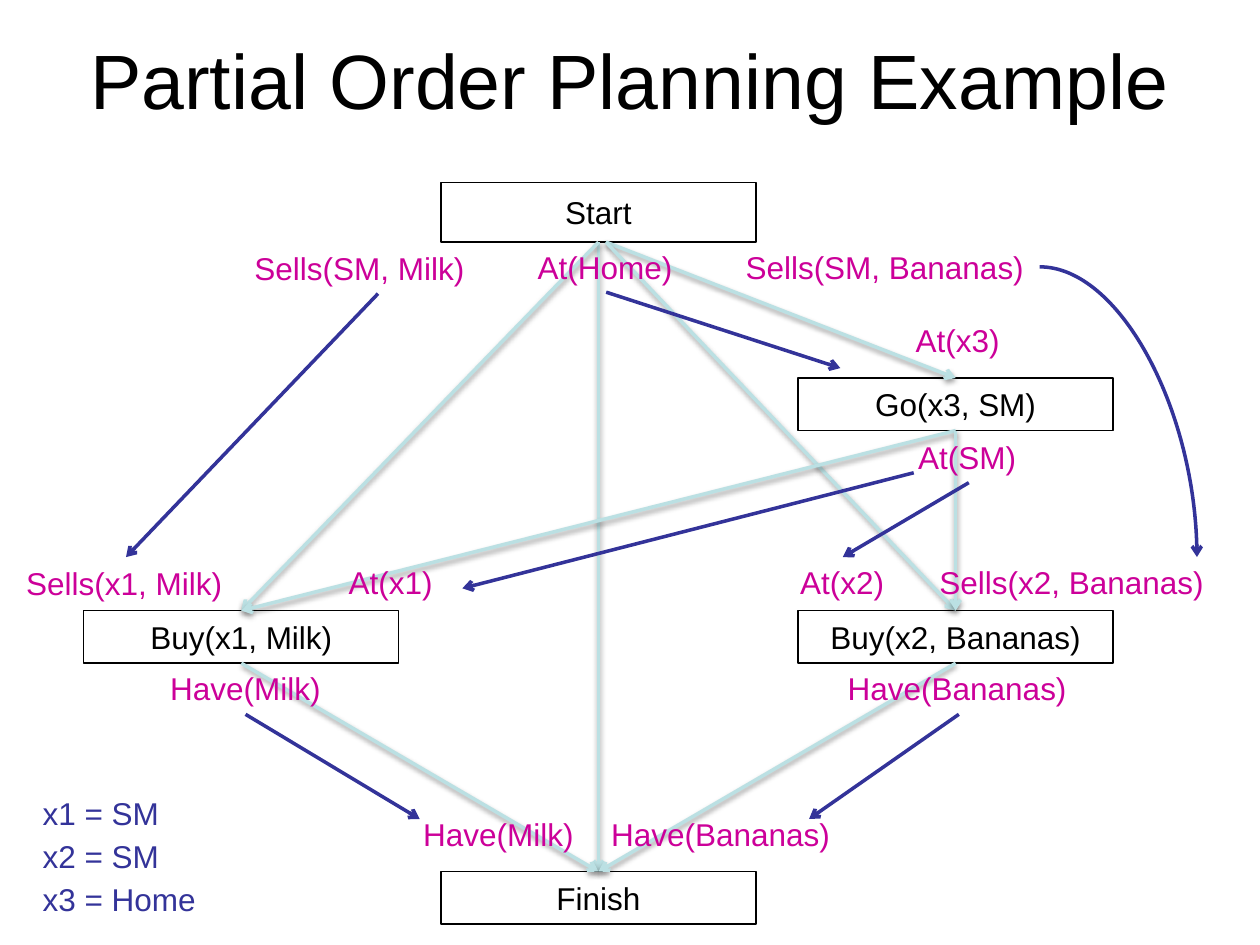
import dataclasses
import typing

import lxml.etree
import pptx
import pptx.dml.color
import pptx.enum.shapes
import pptx.enum.text
import pptx.oxml.ns
import pptx.util

Cm, Pt = pptx.util.Cm, pptx.util.Pt
qn = pptx.oxml.ns.qn
Align = pptx.enum.text.PP_ALIGN
Anchor = pptx.enum.text.MSO_ANCHOR
Fit = pptx.enum.text.MSO_AUTO_SIZE
Kind = pptx.enum.shapes.MSO_CONNECTOR


@dataclasses.dataclass(frozen=True)
class Theme:
    font: str = "Arial"
    head: float = 44
    body: float = 18
    edge: float = 0.75
    line: float = 2
    black: str = "000000"
    white: str = "FFFFFF"
    pink: str = "CC0099"
    navy: str = "333399"
    pale: str = "BBE0E3"


THEME = Theme()


# Parts of the plan, lengths in centimetres
@dataclasses.dataclass(frozen=True)
class Step:
    text: str
    left: float
    top: float
    high: float = 1.06
    wide: float = 6.35


@dataclasses.dataclass(frozen=True)
class Link:
    start: str
    end: str
    shift: float = 0  # distance of the start from the middle of the side


@dataclasses.dataclass(frozen=True)
class Label:
    text: str
    left: float
    top: float
    wide: float
    color: str = THEME.pink


class Arrow(typing.NamedTuple):
    x1: float
    y1: float
    x2: float
    y2: float
    curved: bool = False


LEFT, MID, RIGHT = 1.69, 8.89, 16.09
BUY_TOP = 12.31
STEPS = {
    "start": Step("Start", MID, 3.68, 1.2),
    "go": Step("Go(x3, SM)", RIGHT, 7.62),
    "milk": Step("Buy(x1, Milk)", LEFT, BUY_TOP),
    "fruit": Step("Buy(x2, Bananas)", RIGHT, BUY_TOP),
    "finish": Step("Finish", MID, 17.57),
}
LINKS = [
    Link("start", "finish"),
    Link("start", "milk"),
    Link("start", "go", 0.15),
    Link("start", "fruit", 0.15),
    Link("go", "milk"),
    Link("go", "fruit"),
    Link("milk", "finish"),
    Link("fruit", "finish"),
]
ARROWS = [
    Arrow(7.62, 5.92, 2.54, 11.23),
    Arrow(12.22, 5.89, 16.94, 7.42),
    Arrow(18.42, 9.53, 9.32, 11.86),
    Arrow(19.53, 9.73, 16.99, 11.23),
    Arrow(4.95, 14.4, 8.46, 16.51),
    Arrow(19.33, 14.4, 16.31, 16.51),
    Arrow(20.96, 5.38, 24.13, 11.23, True),
]
LABELS = [
    Label("Sells(SM, Milk)", 4.88, 4.9, 4.78),
    Label("At(Home)", 10.59, 4.88, 3.3),
    Label("Sells(SM, Bananas)", 14.78, 4.88, 6.17),
    Label("At(x3)", 18.21, 6.35, 2.26),
    Label("At(SM)", 18.26, 8.71, 2.54),
    Label("Sells(x1, Milk)", 0.28, 11.25, 4.5),
    Label("At(x1)", 6.78, 11.23, 2.26),
    Label("At(x2)", 15.88, 11.23, 2.26),
    Label("Sells(x2, Bananas)", 18.69, 11.23, 5.89),
    Label("Have(Milk)", 3.18, 13.36, 3.58),
    Label("Have(Bananas)", 16.84, 13.36, 4.98),
    Label("Have(Milk)", 8.28, 16.31, 3.58),
    Label("Have(Bananas)", 12.07, 16.31, 4.98),
]
VALUES = [("x1 = SM", 2.87), ("x2 = SM", 2.87), ("x3 = Home", 3.63)]
LABELS += [Label(text, 0.61, 15.88 + 0.87 * row, wide, THEME.navy)
           for row, (text, wide) in enumerate(VALUES)]


def rgb(code: str) -> pptx.dml.color.RGBColor:
    return pptx.dml.color.RGBColor.from_string(code)


def apply(thing: typing.Any, form: dict[str, typing.Any]) -> None:
    for name, value in form.items():
        setattr(thing, name, value)


def write(shape, text: str, size: float, color: str, align, form: dict) -> None:
    frame = shape.text_frame
    frame.text = text
    apply(frame, form)
    par = frame.paragraphs[0]
    par.alignment = align
    apply(par.font, {"name": THEME.font, "size": Pt(size)})
    par.font.color.rgb = rgb(color)


def draw_step(slide, step: Step):
    box = slide.shapes.add_shape(
        pptx.enum.shapes.MSO_SHAPE.RECTANGLE,
        Cm(step.left), Cm(step.top), Cm(step.wide), Cm(step.high))
    box.shadow.inherit = False
    box.fill.solid()
    box.fill.fore_color.rgb = rgb(THEME.white)
    box.line.color.rgb = rgb(THEME.black)
    box.line.width = Pt(THEME.edge)
    write(box, step.text, THEME.body, THEME.black, Align.CENTER,
          {"vertical_anchor": Anchor.MIDDLE, "word_wrap": True})
    return box


def draw_label(slide, label: Label) -> None:
    box = slide.shapes.add_textbox(
        Cm(label.left), Cm(label.top), Cm(label.wide), Cm(1.02))
    write(box, label.text, THEME.body, label.color, Align.LEFT,
          {"word_wrap": False, "auto_size": Fit.SHAPE_TO_FIT_TEXT})


def draw_line(slide, ends: Arrow, color: str, shade: bool = False):
    kind = Kind.CURVE if ends.curved else Kind.STRAIGHT
    line = slide.shapes.add_connector(kind, *(Cm(n) for n in ends[:4]))
    line.line.color.rgb = rgb(color)
    line.line.width = Pt(THEME.line)
    props = line._element.spPr
    if ends.curved:  # a single quarter bend
        props.find(qn("a:prstGeom")).set("prst", "curvedConnector2")
    tip = lxml.etree.SubElement(props.find(qn("a:ln")), qn("a:tailEnd"))
    tip.set("type", "arrow")
    list_ = lxml.etree.SubElement(props, qn("a:effectLst"))
    if shade:
        cast = lxml.etree.SubElement(
            list_, qn("a:outerShdw"), blurRad="40000", dist="20000",
            dir="5400000", rotWithShape="0")
        tint = lxml.etree.SubElement(cast, qn("a:srgbClr"), val=THEME.black)
        lxml.etree.SubElement(tint, qn("a:alpha"), val="38000")
    return line


def draw_link(slide, link: Link, boxes: dict) -> None:
    start, end = STEPS[link.start], STEPS[link.end]
    ends = Arrow(start.left + start.wide / 2 + link.shift,
                 start.top + start.high, end.left + end.wide / 2, end.top)
    line = draw_line(slide, ends, THEME.pale, shade=True)
    if not link.shift:
        line.begin_connect(boxes[link.start], 2)
    line.end_connect(boxes[link.end], 0)


def main() -> None:
    deck = pptx.Presentation()
    apply(deck, {"slide_width": Cm(25.4), "slide_height": Cm(19.05)})
    slide = deck.slides.add_slide(deck.slide_layouts[5])

    # Title
    title = slide.shapes.title
    apply(title, {"left": Cm(1.27), "top": Cm(0),
                  "width": Cm(22.86), "height": Cm(3.18)})
    write(title, "Partial Order Planning Example", THEME.head, THEME.black,
          Align.CENTER, {"vertical_anchor": Anchor.MIDDLE})

    # Steps and their order
    boxes = {key: draw_step(slide, step) for key, step in STEPS.items()}
    for link in LINKS:
        draw_link(slide, link, boxes)

    # Causal arrows and conditions
    for arrow in ARROWS:
        draw_line(slide, arrow, THEME.navy)
    for label in LABELS:
        draw_label(slide, label)

    deck.save("out.pptx")


if __name__ == "__main__":
    main()
